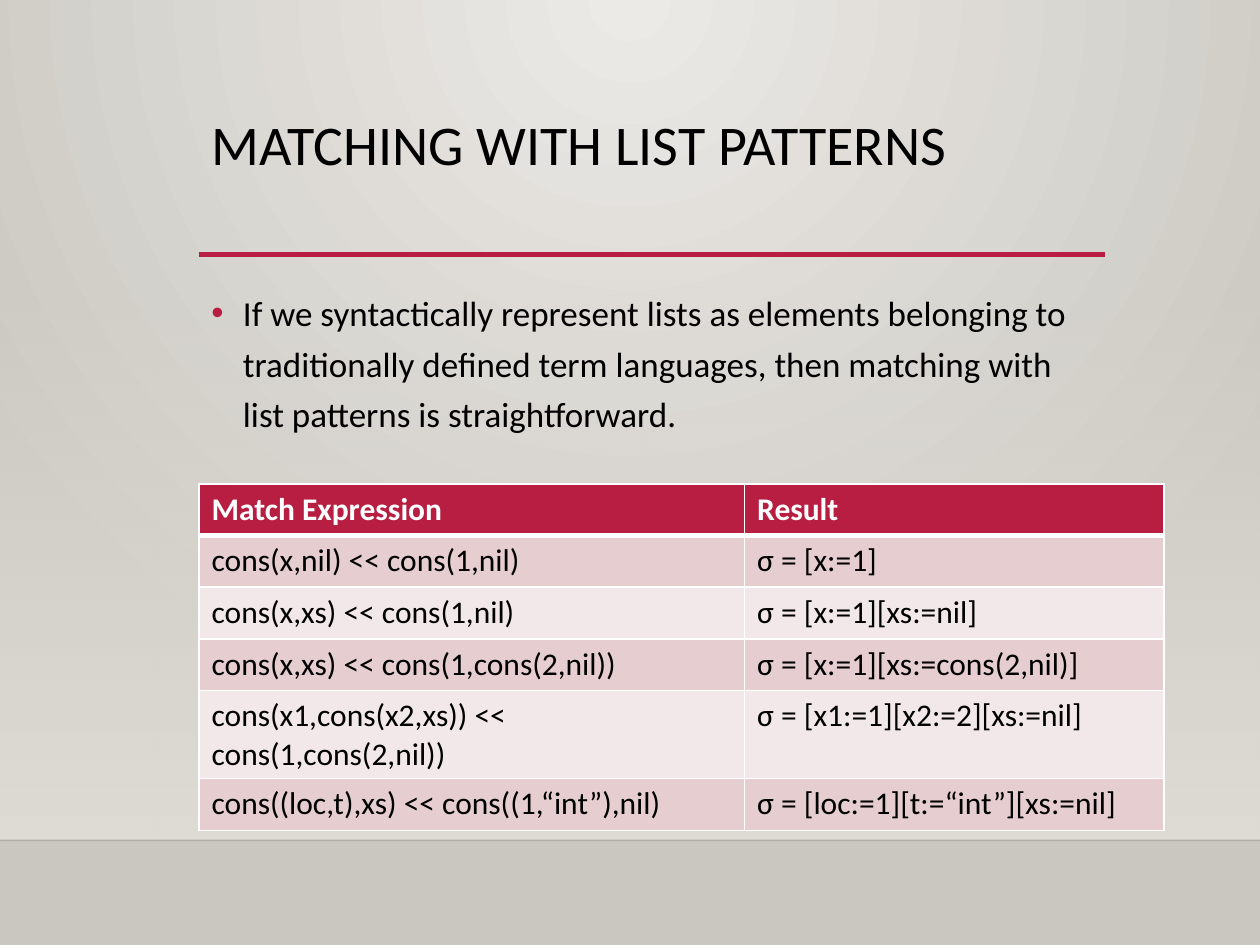
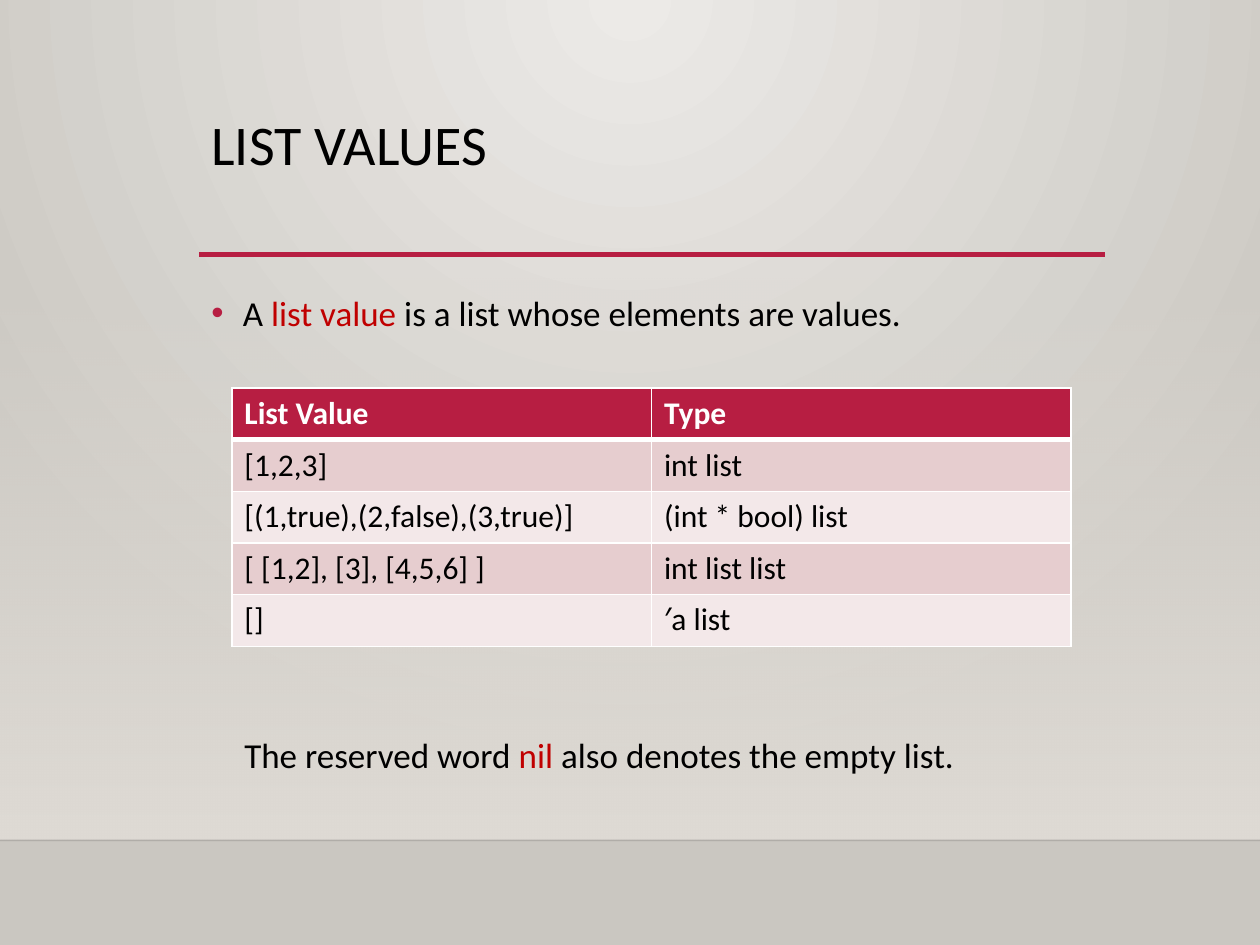
from lxml import etree
from pptx import Presentation
from pptx.dml.color import RGBColor
from pptx.enum.shapes import MSO_CONNECTOR, MSO_SHAPE
from pptx.oxml import parse_xml
from pptx.oxml.ns import nsdecls, qn
from pptx.util import Inches, Pt

# Shared look
FONT = "Calibri"
BLACK, WHITE = "000000", "FFFFFF"
CRIMSON, HIGHLIGHT = "B71E42", "C00000"
ROW_FILLS = ("E6CDCF", "F3E8E9")
LEFT, CONTENT_WIDTH = 1.58, 7.19
SLIDE_WIDTH, FLOOR = 10, 6.67


def color(hex_code):
    return RGBColor.from_string(hex_code)


def gradient(stops, direction):
    """Gradient fill from (position, colour, opacity) stops, in percent."""
    stop_xml = "".join(
        f'<a:gs pos="{position * 1000}"><a:srgbClr val="{hex_code}">'
        f'<a:alpha val="{opacity * 1000}"/></a:srgbClr></a:gs>'
        for position, hex_code, opacity in stops)
    return parse_xml(f'<a:gradFill {nsdecls("a")} rotWithShape="1">'
                     f'<a:gsLst>{stop_xml}</a:gsLst>{direction}</a:gradFill>')


def replace_solid_fill(properties, new_fill):
    properties.replace(properties.find(qn("a:solidFill")), new_fill)


def add_line(slide, left, right, top, hex_code, width, opacity=100):
    line = slide.shapes.add_connector(
        MSO_CONNECTOR.STRAIGHT, Inches(left), Inches(top), Inches(right), Inches(top))
    line.line.color.rgb = color(hex_code)
    line.line.width = Pt(width)
    properties = line._element.spPr
    etree.SubElement(properties, qn("a:effectLst"))
    if opacity < 100:
        rgb = properties.find(".//" + qn("a:srgbClr"))
        etree.SubElement(rgb, qn("a:alpha")).set("val", str(opacity * 1000))


def add_bullet(paragraph):
    properties = paragraph._p.get_or_add_pPr()
    properties.set("marL", str(Inches(0.25)))
    properties.set("indent", str(-Inches(0.25)))
    bullet_color = etree.SubElement(properties, qn("a:buClr"))
    etree.SubElement(bullet_color, qn("a:srgbClr")).set("val", CRIMSON)
    etree.SubElement(properties, qn("a:buFont")).set("typeface", "Arial")
    etree.SubElement(properties, qn("a:buChar")).set("char", "•")


def set_font(paragraph, size, hex_code=BLACK, bold=False):
    paragraph.font.name = FONT
    paragraph.font.size = Pt(size)
    paragraph.font.bold = bold
    paragraph.font.color.rgb = color(hex_code)


def add_text(slide, box, pieces, size=20, spacing=1.0, bullet=False, wrap=True):
    """Text box of one paragraph; every second piece is highlighted."""
    frame = slide.shapes.add_textbox(*map(Inches, box)).text_frame
    frame.word_wrap = wrap
    paragraph = frame.paragraphs[0]
    if bullet:
        add_bullet(paragraph)
    paragraph.line_spacing = spacing
    set_font(paragraph, size)
    for index, piece in enumerate(pieces):
        run = paragraph.add_run()
        run.text = piece
        if index % 2:
            run.font.color.rgb = color(HIGHLIGHT)


def add_body(slide, height, *pieces):
    add_text(slide, (LEFT, 2.2, CONTENT_WIDTH, height), pieces, spacing=1.2, bullet=True)


def set_borders(cell, top, bottom):
    properties = cell._tc.get_or_add_tcPr()
    for side, width in (("L", 1), ("R", 1), ("T", top), ("B", bottom)):
        properties.append(parse_xml(
            f'<a:ln{side} {nsdecls("a")} w="{Pt(width)}"><a:solidFill>'
            f'<a:srgbClr val="{WHITE}"/></a:solidFill></a:ln{side}>'))


def add_table(slide, left, top, column_widths, rows, row_height=0.41):
    table = slide.shapes.add_table(
        len(rows), len(column_widths), Inches(left), Inches(top),
        Inches(sum(column_widths)), Inches(row_height * len(rows))).table
    for column, width in zip(table.columns, column_widths):
        column.width = Inches(width)
    for row_index, texts in enumerate(rows):
        header = row_index == 0
        for column_index, text in enumerate(texts):
            cell = table.cell(row_index, column_index)
            # The header is set off by a thick rule below it
            set_borders(cell, 3 if row_index == 1 else 1, 3 if header else 1)
            cell.fill.solid()
            cell.fill.fore_color.rgb = color(
                CRIMSON if header else ROW_FILLS[(row_index - 1) % 2])
            cell.text = text
            set_font(cell.text_frame.paragraphs[0], 18, WHITE if header else BLACK, header)


def add_slide(presentation, title):
    """Slide with the shared backdrop, rules and title."""
    slide = presentation.slides.add_slide(presentation.slide_layouts[6])
    slide.background.fill.solid()
    replace_solid_fill(
        slide.element.find(".//" + qn("p:bgPr")),
        gradient([(0, "ECEAE7", 100), (100, "CAC7C1", 100)],
                 '<a:path path="circle">'
                 '<a:fillToRect l="43000" r="43000" b="100000"/></a:path>'))

    # Wall that fades in towards the floor line
    wall = slide.shapes.add_shape(
        MSO_SHAPE.RECTANGLE, 0, Inches(2.2), Inches(SLIDE_WIDTH), Inches(FLOOR - 2.2))
    wall.shadow.inherit = False
    wall.line.fill.background()
    wall.fill.solid()
    replace_solid_fill(
        wall._element.spPr,
        gradient([(0, "DFDBD5", 0), (100, "DFDBD5", 100)],
                 '<a:lin ang="5400000" scaled="0"/>'))
    add_line(slide, 0, SLIDE_WIDTH, FLOOR, BLACK, 1, opacity=20)

    # Title and its rule
    add_line(slide, LEFT, LEFT + CONTENT_WIDTH, 2.02, CRIMSON, 2.5)
    add_text(slide, (LEFT, 0.88, CONTENT_WIDTH, 1.15), [title], size=32, spacing=0.9)
    return slide


def main():
    presentation = Presentation()
    presentation.slide_width = Inches(SLIDE_WIDTH)
    presentation.slide_height = Inches(7.5)

    # Matching
    slide = add_slide(presentation, "MATCHING WITH LIST PATTERNS")
    add_body(slide, 1.46,
             "If we syntactically represent lists as elements belonging to traditionally "
             "defined term languages, then matching with list patterns is straightforward.")
    add_table(slide, LEFT, 3.84, (4.33, 3.33), [
        ("Match Expression", "Result"),
        ("cons(x,nil) << cons(1,nil)", "σ = [x:=1]"),
        ("cons(x,xs) << cons(1,nil)", "σ = [x:=1][xs:=nil]"),
        ("cons(x,xs) << cons(1,cons(2,nil))", "σ = [x:=1][xs:=cons(2,nil)]"),
        ("cons(x1,cons(x2,xs)) << cons(1,cons(2,nil))", "σ = [x1:=1][x2:=2][xs:=nil]"),
        ("cons((loc,t),xs) << cons((1,“int”),nil)", "σ = [loc:=1][t:=“int”][xs:=nil]"),
    ])

    # Values
    slide = add_slide(presentation, "LIST VALUES")
    add_body(slide, 3.77, "A ", "list value", " is a list whose elements are values.")
    add_table(slide, 1.84, 3.08, (3.33, 3.33), [
        ("List Value", "Type"),
        ("[1,2,3]", "int list"),
        ("[(1,true),(2,false),(3,true)]", "(int * bool) list"),
        ("[ [1,2], [3], [4,5,6] ]", "int list list"),
        ("[]", "′a list"),
    ])
    add_text(slide, (1.84, 5.77, 5.89, 0.44),
             ["The reserved word ", "nil", " also denotes the empty list."], wrap=False)

    presentation.save("out.pptx")


if __name__ == "__main__":
    main()
